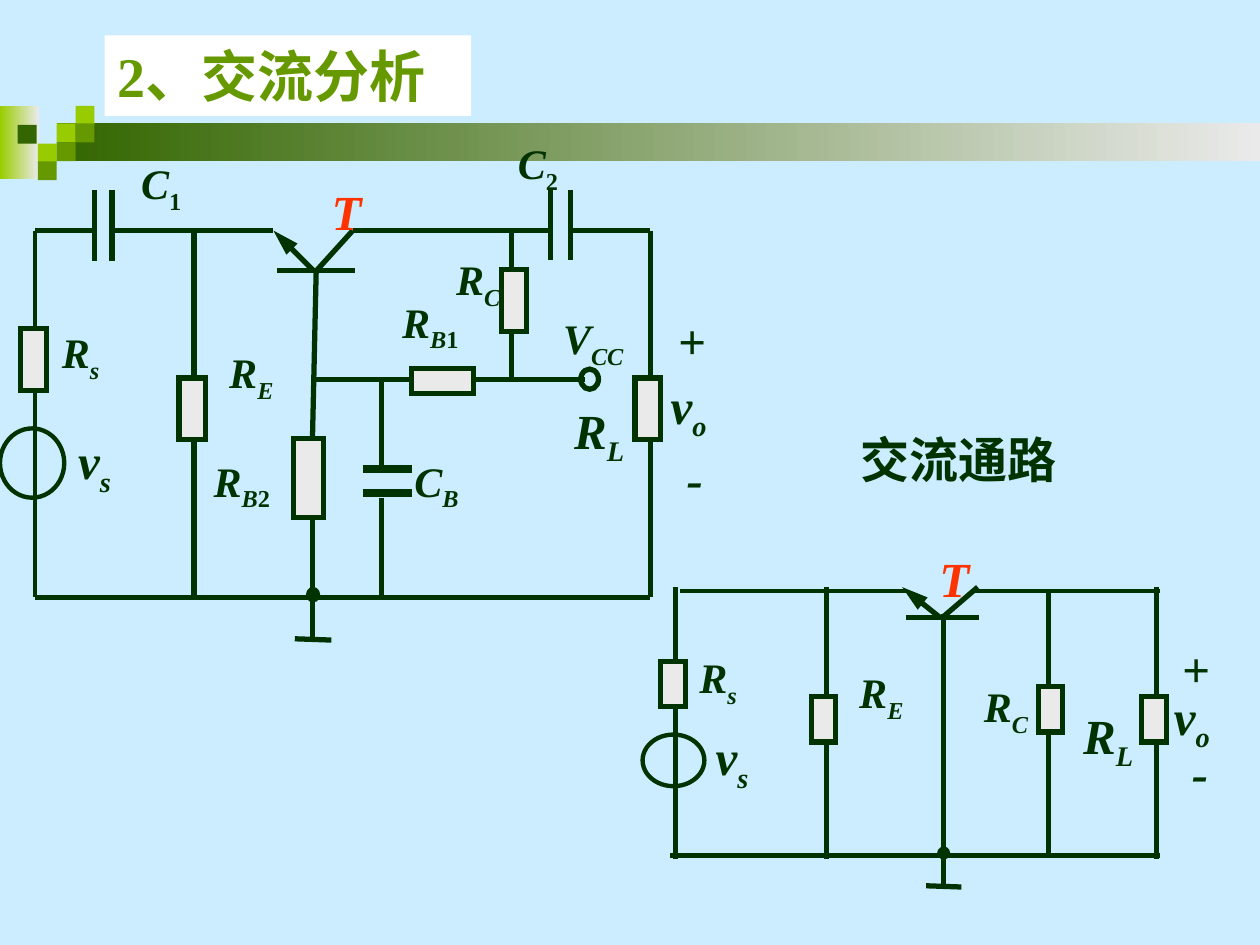
from lxml.etree import SubElement
from pptx import Presentation
from pptx.dml.color import RGBColor
from pptx.enum.shapes import MSO_CONNECTOR, MSO_SHAPE
from pptx.enum.text import MSO_ANCHOR, MSO_AUTO_SIZE, PP_ALIGN
from pptx.oxml.ns import qn
from pptx.util import Cm, Pt

COLORS = {
    "sky": "CCECFF", "ink": "003300", "body": "EAEAEA", "white": "FFFFFF",
    "lime": "99CC00", "green": "669900", "forest": "336600", "red": "FF3300",
}
FONT = "Times New Roman"


def color(name):
    return RGBColor.from_string(COLORS[name])


def inch(value):
    """Positions are planned in inches and handed over in centimetres."""
    return Cm(value * 2.54)


class CircuitSlide:
    def __init__(self, deck):
        self.page = deck.slides.add_slide(deck.slide_layouts[5])
        self.page.background.fill.solid()
        self.page.background.fill.fore_color.rgb = color("sky")

    def shape(self, x, y, w, h, kind=MSO_SHAPE.RECTANGLE, fill=None, line=None):
        shape = self.page.shapes.add_shape(kind, *map(inch, (x, y, w, h)))
        shape.shadow.inherit = False
        if isinstance(fill, tuple):
            shape.fill.gradient()
            shape.fill.gradient_angle = 0
            for stop, name in zip(shape.fill.gradient_stops, fill):
                stop.color.rgb = color(name)
        elif fill:
            shape.fill.solid()
            shape.fill.fore_color.rgb = color(fill)
        else:
            shape.fill.background()
        if line:
            shape.line.color.rgb = color("ink")
            shape.line.width = Pt(line)
            SubElement(shape.line._get_or_add_ln(), qn("a:miter"), lim="800000")
        else:
            shape.line.fill.background()
        return shape

    def resistor(self, x, y, w, h):
        return self.shape(x, y, w, h, fill="body", line=3)

    def circle(self, x, y, w, h, fill=None, line=3):
        return self.shape(x, y, w, h, MSO_SHAPE.OVAL, fill, line)

    def wire(self, x1, y1, x2, y2, width=3, arrow=False):
        wire = self.page.shapes.add_connector(
            MSO_CONNECTOR.STRAIGHT, *map(inch, (x1, y1, x2, y2)))
        wire.line.color.rgb = color("ink")
        wire.line.width = Pt(width)
        if arrow:
            SubElement(wire.line._get_or_add_ln(), qn("a:tailEnd"),
                       type="triangle", w="med", len="lg")
        SubElement(wire._element.spPr, qn("a:effectLst"))

    def span(self, para, text, size, shade="ink", italic=False, sub=False):
        span = para.add_run()
        span.text = text
        font = span.font
        font.name, font.size, font.bold, font.italic = FONT, Pt(size), True, italic
        font.color.rgb = color(shade)
        if sub:
            span._r.get_or_add_rPr().set("baseline", "-25000")

    def label(self, x, y, w, symbol, sub="", size=24, align=PP_ALIGN.CENTER, shade="ink"):
        """An italic symbol with a subscript whose digits stand upright."""
        height = 0.56 if size == 24 else 0.63 if sub else 0.57
        box = self.page.shapes.add_textbox(*map(inch, (x, y, w, height)))
        frame = box.text_frame
        frame.word_wrap = align == PP_ALIGN.LEFT
        frame.auto_size = MSO_AUTO_SIZE.SHAPE_TO_FIT_TEXT
        frame.vertical_anchor = MSO_ANCHOR.MIDDLE
        para = frame.paragraphs[0]
        para.alignment = align
        self.span(para, symbol, size, shade, italic=True)
        for letters in ([sub] if sub.isalpha() else sub):
            self.span(para, letters, size, shade, not letters.isdigit(), sub=True)

    def heading(self, x, y, w, h, text):
        title = self.page.shapes.title
        title.left, title.top, title.width, title.height = map(inch, (x, y, w, h))
        title.fill.solid()
        title.fill.fore_color.rgb = color("white")
        frame = title.text_frame
        frame.auto_size = MSO_AUTO_SIZE.NONE
        frame.vertical_anchor = MSO_ANCHOR.MIDDLE
        frame.paragraphs[0].alignment = PP_ALIGN.LEFT
        self.span(frame.paragraphs[0], text, 32, "green")

    def caption(self, x, y, w, h, text):
        box = self.page.shapes.add_textbox(*map(inch, (x, y, w, h)))
        box.text_frame.word_wrap = True
        self.span(box.text_frame.paragraphs[0], text, 28)

    def banner(self):
        self.shape(0, 0.84, 0.31, 0.58, fill=("lime", "body"))
        self.shape(0.45, 0.98, 9.55, 0.3, fill=("forest", "body"))
        for x, y, fill in [
            (0.45, 0.98, "lime"), (0.6, 0.84, "lime"), (0.6, 0.98, "green"),
            (0.3, 1.14, "lime"), (0.14, 0.99, "forest"),
            (0.45, 1.13, "green"), (0.3, 1.28, "green"),
        ]:
            self.shape(x, y, 0.15, 0.15, fill=fill)

    def circuit(self, wires, resistors, source, node, labels):
        for wire in wires:
            self.wire(*wire)
        for resistor in resistors:
            self.resistor(*resistor)
        self.circle(*source, line=2.5)
        self.circle(*node, fill="ink")
        for label in labels:
            self.label(*label)


FULL_WIRES = [
    # Ground
    (2.48, 4.74, 2.48, 5.09), (2.34, 5.07, 2.63, 5.08),
    # Transistor
    (2.48, 3.48, 2.51, 2.13), (2.2, 2.15, 2.82, 2.15),
    (2.51, 2.15, 2.8, 1.83), (2.49, 2.15, 2.17, 1.83, 3, True),
    # Capacitor plates
    (4.53, 1.51, 4.53, 2.06), (4.37, 1.51, 4.37, 2.06),
    (0.75, 1.51, 0.75, 2.07), (0.89, 1.51, 0.89, 2.07),
    (2.88, 3.72, 3.27, 3.72, 4.5), (2.88, 3.91, 3.27, 3.91, 4.5),
    # Horizontal wires
    (0.28, 1.83, 0.73, 1.83), (0.91, 1.83, 2.17, 1.83),
    (2.8, 1.83, 4.37, 1.83), (5.16, 1.83, 4.53, 1.83),
    (2.48, 3.01, 3.27, 3.01), (3.74, 3.01, 4.64, 3.01),
    (0.28, 4.74, 5.16, 4.74),
    # Branches
    (0.28, 4.74, 0.28, 1.83, 2.5), (1.54, 1.83, 1.54, 4.74),
    (2.48, 4.74, 2.48, 4.11), (3.03, 3.01, 3.03, 3.72),
    (3.03, 3.95, 3.03, 4.74), (4.06, 1.83, 4.06, 3.01),
    (5.16, 1.83, 5.16, 4.74),
]
FULL_RESISTORS = [
    (0.16, 2.61, 0.21, 0.49), (1.42, 3, 0.21, 0.49), (2.33, 3.48, 0.24, 0.63),
    (3.98, 2.14, 0.2, 0.49), (5.04, 3, 0.2, 0.49),
]
FULL_LABELS = [
    (0.39, 2.54, 0.5, "R", "s"), (0.52, 3.37, 0.46, "v", "s", 28),
    (1.02, 1.2, 0.52, "C", "1"), (4.01, 1.04, 0.52, "C", "2"),
    (3.52, 1.96, 0.55, "R", "C"), (3.09, 2.3, 0.65, "R", "B1"),
    (3.19, 3.56, 0.76, "C", "B", 24, PP_ALIGN.LEFT), (1.54, 3.56, 0.76, "R", "B2"),
    (1.72, 2.7, 0.55, "R", "E"), (4.37, 2.43, 0.72, "V", "CC", 24, PP_ALIGN.LEFT),
    (4.44, 3.13, 0.63, "R", "L", 28), (5.2, 2.93, 0.53, "v", "o", 28),
    (5.28, 2.41, 0.42, "+", "", 28), (5.35, 3.51, 0.33, "-", "", 28),
    (2.28, 1.39, 0.94, "T", "", 28, PP_ALIGN.CENTER, "red"),
]

AC_WIRES = [
    # Ground
    (7.49, 6.79, 7.49, 7.04), (7.35, 7.03, 7.63, 7.04),
    # Transistor
    (7.49, 6.79, 7.49, 4.87), (7.19, 4.9, 7.77, 4.9),
    (7.48, 4.9, 7.76, 4.66), (7.46, 4.9, 7.16, 4.66, 3, True),
    # Branches
    (5.36, 6.82, 5.36, 4.66, 2.5), (6.56, 4.66, 6.56, 6.82),
    (8.32, 4.69, 8.32, 6.79), (9.18, 4.66, 9.18, 6.82),
    # Horizontal wires
    (5.32, 6.79, 9.21, 6.79, 2.5), (7.72, 4.69, 9.21, 4.69, 2.5),
    (5.4, 4.69, 7.19, 4.69, 2.5),
]
AC_RESISTORS = [
    (5.24, 5.25, 0.2, 0.36), (6.44, 5.53, 0.19, 0.36),
    (8.24, 5.45, 0.19, 0.36), (9.06, 5.53, 0.2, 0.36),
]
AC_LABELS = [
    (5.45, 5.12, 0.5, "R", "s"), (5.58, 5.72, 0.46, "v", "s", 28),
    (6.72, 5.24, 0.55, "R", "E"), (7.71, 5.35, 0.55, "R", "C"),
    (8.48, 5.55, 0.63, "R", "L", 28), (9.21, 5.4, 0.5, "v", "o", 28),
    (9.28, 5.02, 0.42, "+", "", 28), (9.36, 5.84, 0.33, "-", "", 28),
    (7.13, 4.3, 0.89, "T", "", 28, PP_ALIGN.CENTER, "red"),
]


def main():
    deck = Presentation()
    deck.slide_width, deck.slide_height = Cm(25.4), Cm(19.05)
    slide = CircuitSlide(deck)
    slide.banner()
    slide.heading(0.83, 0.28, 2.91, 0.64, "2、交流分析")
    # Full amplifier circuit, with the bias resistor lying flat
    slide.circuit(FULL_WIRES, FULL_RESISTORS, (0, 3.4, 0.51, 0.55),
                  (2.45, 4.68, 0.07, 0.08), FULL_LABELS)
    slide.resistor(3.41, 2.78, 0.2, 0.49).rotation = 90
    slide.circle(4.61, 2.93, 0.14, 0.16)
    # AC path
    slide.circuit(AC_WIRES, AC_RESISTORS, (5.1, 5.83, 0.49, 0.41),
                  (7.46, 6.74, 0.06, 0.06), AC_LABELS)
    slide.caption(6.73, 3.36, 1.81, 0.57, "交流通路")
    deck.save("out.pptx")


if __name__ == "__main__":
    main()
